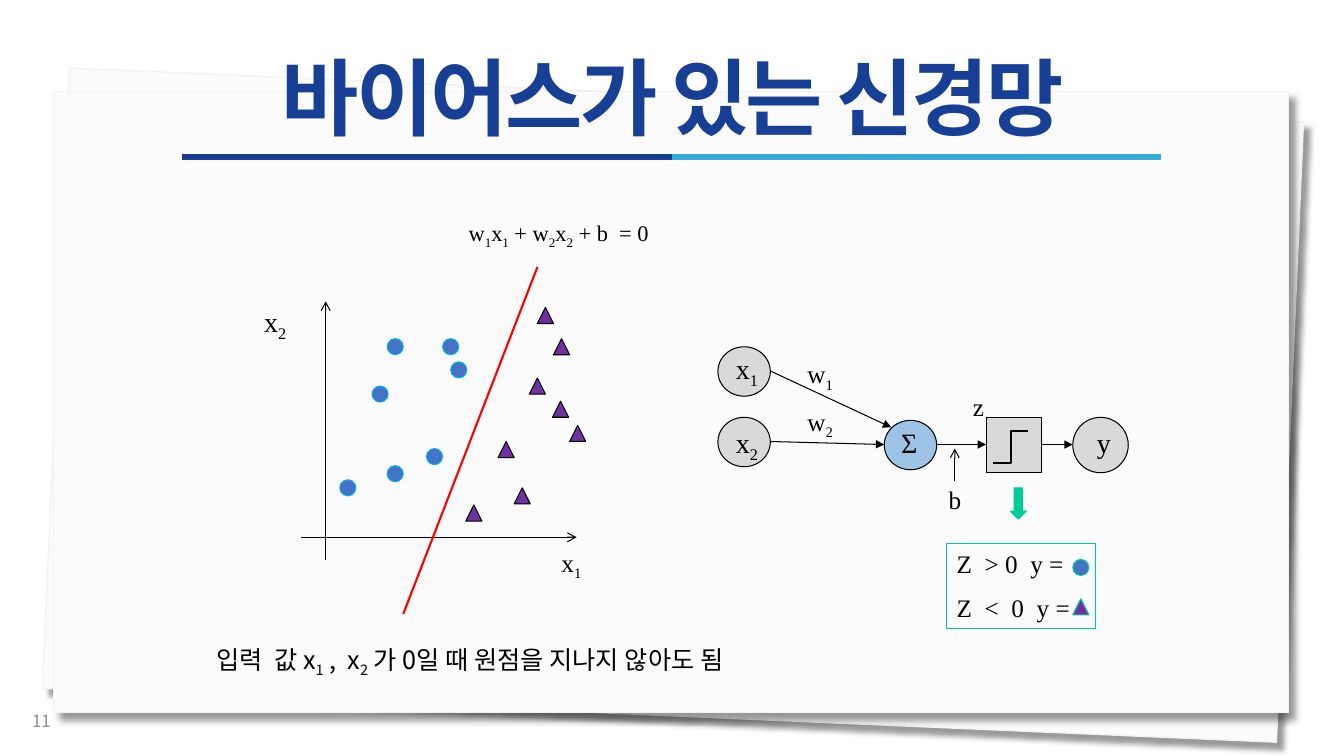
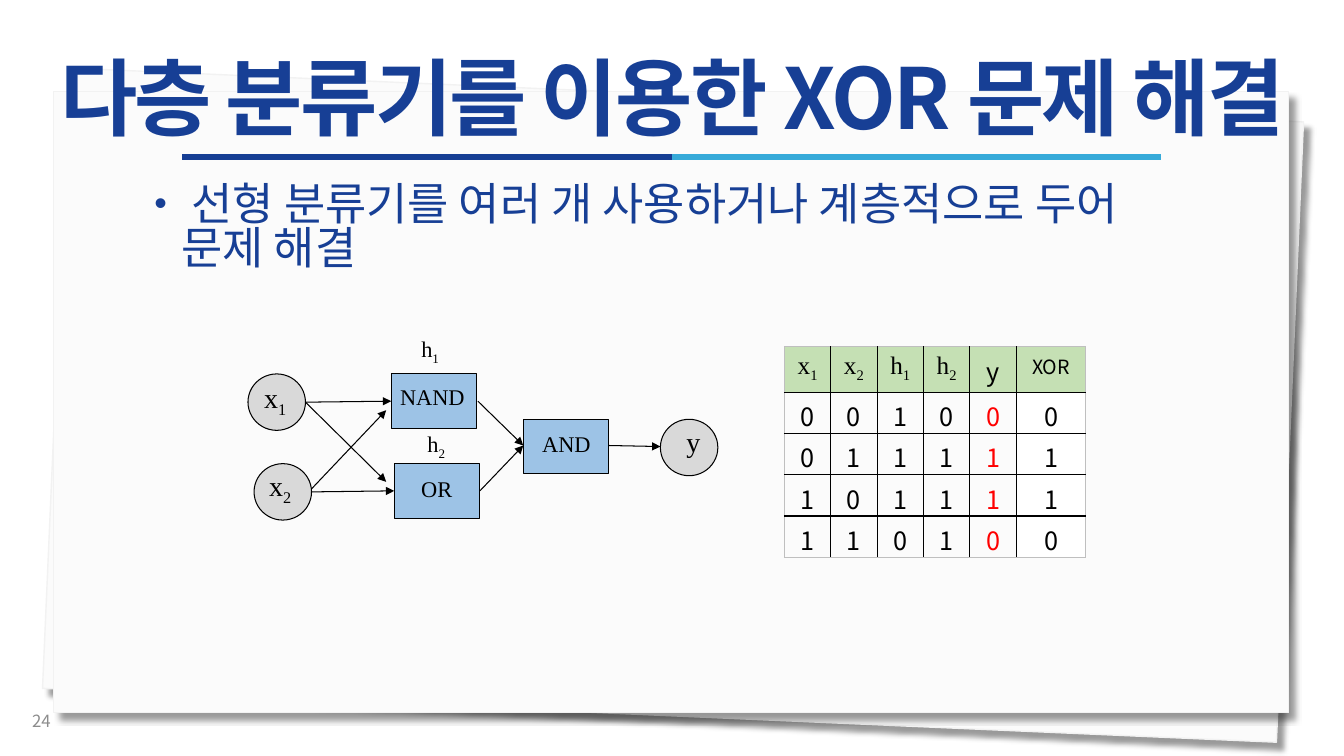
from lxml import etree
from pptx import Presentation
from pptx.dml.color import RGBColor
from pptx.enum.shapes import MSO_CONNECTOR, MSO_SHAPE
from pptx.enum.text import MSO_ANCHOR, MSO_AUTO_SIZE, PP_ALIGN
from pptx.oxml.ns import qn
from pptx.util import Inches, Pt

RECT, OVAL = MSO_SHAPE.RECTANGLE, MSO_SHAPE.OVAL
TRIANGLE, DOWN_ARROW = MSO_SHAPE.ISOSCELES_TRIANGLE, MSO_SHAPE.DOWN_ARROW
STRAIGHT, ELBOW = MSO_CONNECTOR.STRAIGHT, MSO_CONNECTOR.ELBOW
TOP, MIDDLE = MSO_ANCHOR.TOP, MSO_ANCHOR.MIDDLE
LEFT, CENTER = PP_ALIGN.LEFT, PP_ALIGN.CENTER
NO_FIT = MSO_AUTO_SIZE.NONE

BLACK = RGBColor(0x00, 0x00, 0x00)
WHITE = RGBColor(0xFF, 0xFF, 0xFF)
PAPER = RGBColor(0xFB, 0xFB, 0xFB)
PAPER_EDGE = RGBColor(0xF2, 0xF2, 0xF2)
NAVY = RGBColor(0x17, 0x3F, 0x95)
RULE_NAVY = RGBColor(0x16, 0x3E, 0x94)
RULE_SKY = RGBColor(0x36, 0xAA, 0xD9)
FOOTER_GRAY = RGBColor(0x8C, 0x8C, 0x8C)
NODE_GRAY = RGBColor(0xD9, 0xD9, 0xD9)
NODE_BLUE = RGBColor(0x9D, 0xC3, 0xE6)
DOT_BLUE = RGBColor(0x44, 0x72, 0xC4)
DOT_EDGE = RGBColor(0x00, 0xB0, 0xF0)
PURPLE = RGBColor(0x70, 0x30, 0xA0)
TEAL = RGBColor(0x00, 0xCC, 0x99)
RED = RGBColor(0xFF, 0x00, 0x00)
HEADER_GREEN = RGBColor(0xC5, 0xE0, 0xB4)
TABLE_EDGE = RGBColor(0xBF, 0xBF, 0xBF)

SANS, SERIF = "Noto Sans CJK KR", "Times New Roman"
TITLE_FORMAT = {"name": SANS, "size": Pt(60), "bold": True}
DOT = 0.16


def write(paragraph, text, color, formats):
    for index, piece in enumerate(text.split("_")):
        parts = [(piece[:1], True), (piece[1:], False)] if index else [(piece, False)]
        for part, lowered in parts:
            if not part:
                continue
            run = paragraph.add_run()
            run.text = part
            for attribute, value in formats.items():
                setattr(run.font, attribute, value)
            run.font.color.rgb = color
            properties = run._r.get_or_add_rPr()
            etree.SubElement(properties, qn("a:ea"), typeface=formats["name"])
            if lowered:
                properties.set("baseline", "-25000")


def connect(slide, start, end, color=BLACK, width=0.75, head=None, kind=STRAIGHT):
    link = slide.shapes.add_connector(kind, *[Inches(v) for v in (*start, *end)])
    link.line.color.rgb = color
    link.line.width = Pt(width)
    properties = link.element.spPr
    if head:
        etree.SubElement(properties.find(qn("a:ln")), qn("a:tailEnd"), type=head)
    etree.SubElement(properties, qn("a:effectLst"))
    return link


prs = Presentation()
prs.slide_width, prs.slide_height = Inches(13.33), Inches(7.5)
bias = prs.slides.add_slide(prs.slide_layouts[5])
xor = prs.slides.add_slide(prs.slide_layouts[1])

backdrop = []
for left, top, angle in [(0.55, 0.94, 2.5), (0.53, 0.91, 0)]:
    sheet = bias.shapes.add_shape(RECT, Inches(left), Inches(top), Inches(12.25), Inches(6.16))
    sheet.rotation = angle
    sheet.fill.solid()
    sheet.fill.fore_color.rgb = PAPER
    sheet.line.color.rgb = PAPER_EDGE
    sheet.line.width = Pt(1)
    effects = etree.SubElement(sheet.element.spPr, qn("a:effectLst"))
    shadow = etree.SubElement(effects, qn("a:outerShdw"), blurRad=str(Pt(4)), dist=str(Pt(7)),
                              dir="2700000", algn="tl", rotWithShape="0")
    tint = etree.SubElement(shadow, qn("a:srgbClr"), val="000000")
    etree.SubElement(tint, qn("a:alpha"), val="40000")
    backdrop.append(sheet)
for start, end, color in [(1.81, 6.67, RULE_NAVY), (6.67, 11.52, RULE_SKY)]:
    backdrop.append(connect(bias, (start, 1.56), (end, 1.56), color, 4.5))

first_on_master = prs.slide_master.placeholders[0].element
for number, part in enumerate(backdrop, 100):
    part.element.xpath(".//p:cNvPr")[0].set("id", str(number))
    first_on_master.addprevious(part.element)

for slide, heading in [(bias, "바이어스가 있는 신경망"), (xor, "다층 분류기를 이용한 XOR 문제 해결")]:
    title = slide.shapes.title
    title.left, title.top, title.width, title.height = [Inches(v) for v in (0, 0.56, 13.34, 0.9)]
    title.text_frame.auto_size = NO_FIT
    title.text_frame.word_wrap = True
    title.text_frame.vertical_anchor = MIDDLE
    line = title.text_frame.paragraphs[0]
    line.alignment = CENTER
    line.line_spacing = 0.9
    write(line, heading, NAVY, TITLE_FORMAT)
    for run in line.runs:
        run._r.get_or_add_rPr().set("spc", "-190")

dots = [(3.84, 3.36), (4.39, 3.36), (4.47, 3.59), (3.69, 3.83), (4.23, 4.45), (3.84, 4.62), (3.37, 4.76)]
triangles = [(5.25, 3.75), (5.48, 3.98), (5.65, 4.22), (4.94, 4.38), (5.1, 4.84), (4.62, 5.01),
             (5.33, 3.05), (5.49, 3.36)]

shape_sets = [
    (bias, OVAL, DOT_BLUE, DOT_EDGE, (DOT, DOT), dots),
    (bias, TRIANGLE, PURPLE, BLACK, (DOT, DOT), triangles),
    (bias, OVAL, NODE_GRAY, BLACK, (0.52, 0.49), [(7.12, 3.44), (7.12, 4.14)]),
    (bias, OVAL, NODE_BLUE, BLACK, (0.52, 0.49), [(8.77, 4.17)]),
    (bias, RECT, NODE_GRAY, BLACK, (0.55, 0.55), [(9.78, 4.14)]),
    (bias, OVAL, NODE_GRAY, BLACK, (0.55, 0.55), [(10.64, 4.14)]),
    (bias, RECT, None, TEAL, (1.48, 0.85), [(9.39, 5.39)]),
    (bias, OVAL, DOT_BLUE, TEAL, (DOT, DOT), [(10.64, 5.55)]),
    (bias, TRIANGLE, PURPLE, TEAL, (DOT, DOT), [(10.64, 5.94)]),
    (bias, DOWN_ARROW, TEAL, TEAL, (DOT, 0.31), [(10.02, 4.84)]),
    (xor, OVAL, NODE_GRAY, BLACK, (0.57, 0.56), [(2.46, 3.71), (2.52, 4.6), (6.55, 4.16)]),
    (xor, RECT, NODE_BLUE, BLACK, (0.85, 0.54), [(5.19, 4.16), (3.88, 3.71), (3.91, 4.6)]),
]
for slide, kind, fill, outline, size, spots in shape_sets:
    for spot in spots:
        mark = slide.shapes.add_shape(kind, *[Inches(v) for v in (*spot, *size)])
        mark.shadow.inherit = False
        mark.line.color.rgb = outline
        mark.line.width = Pt(0.75)
        if fill is not None:
            mark.fill.solid()
            mark.fill.fore_color.rgb = fill
            continue
        mark.fill.background()
        legend = mark.text_frame
        legend.vertical_anchor = TOP
        legend.word_wrap = True
        for row, rule in enumerate(["Z  > 0  y =", "Z  <  0  y ="]):
            line = legend.add_paragraph() if row else legend.paragraphs[0]
            line.alignment = LEFT
            line.space_before = Pt(10 * row)
            write(line, rule, BLACK, {"name": SERIF, "size": Pt(18)})

link_sets = [
    (bias, "arrow", [((2.99, 5.33), (5.72, 5.33)), ((3.23, 5.56), (3.23, 2.99)), ((9.47, 4.77), (9.47, 4.45))]),
    (bias, "triangle", [((7.64, 3.68), (8.84, 4.24)), ((7.64, 4.38), (8.77, 4.41)),
                        ((9.29, 4.41), (9.78, 4.41)), ((10.33, 4.41), (10.64, 4.41))]),
    (xor, "triangle", [((6.04, 4.42), (6.55, 4.43)), ((3.03, 3.99), (3.88, 3.98)), ((3.09, 4.88), (3.91, 4.87)),
                       ((3.09, 4.85), (3.83, 4.07)), ((3.03, 3.99), (3.83, 4.78)),
                       ((4.74, 3.98), (5.19, 4.42)), ((4.76, 4.87), (5.19, 4.42))]),
]
for slide, head, links in link_sets:
    for start, end in links:
        connect(slide, start, end, head=head)
connect(bias, (5.33, 2.65), (4, 6.09), RED, 1.5)
connect(bias, (10.2, 4.28), (9.85, 4.59), width=1.5, kind=ELBOW)

labels = [
    (bias, "x_2", 20, (2.52, 2.97, 0.71, 0.43)),
    (bias, "x_1", 18, (5.47, 5.38, 0.71, 0.4)),
    (bias, "x_1", 20, (7.2, 3.44, 0.47, 0.43)),
    (bias, "x_2", 20, (7.2, 4.17, 0.47, 0.43)),
    (bias, "Σ", 20, (8.84, 4.17, 0.47, 0.43)),
    (bias, "w_1", 18, (7.91, 3.51, 0.94, 0.4)),
    (bias, "w_2", 18, (7.91, 3.98, 0.94, 0.4)),
    (bias, "b", 18, (9.31, 4.76, 0.94, 0.4)),
    (bias, "y", 20, (10.78, 4.17, 0.41, 0.43)),
    (bias, "z", 18, (9.55, 3.83, 0.94, 0.4)),
    (bias, "w_1x_1 + w_2x_2 + b  = 0", 16, (4.55, 2.13, 2.27, 0.37)),
    (xor, "x_1", 20, (2.52, 3.73, 0.51, 0.45)),
    (xor, "x_2", 20, (2.57, 4.6, 0.51, 0.5)),
    (xor, "y", 20, (6.71, 4.16, 0.44, 0.44)),
    (xor, "NAND", 16, (3.87, 3.75, 0.94, 0.42)),
    (xor, "AND", 16, (5.28, 4.22, 0.94, 0.42)),
    (xor, "OR", 16, (4.08, 4.66, 0.94, 0.42)),
    (xor, "h_1", 16, (4.08, 3.28, 0.51, 0.37)),
    (xor, "h_2", 16, (4.14, 4.22, 0.51, 0.37)),
]
captions = [(slide, text, size, place, SERIF, BLACK, TOP) for slide, text, size, place in labels]
captions.append((bias, "입력  값 x_1 ,  x_2 가 0일 때 원점을 지나지 않아도 됨", 18,
                 (2.05, 6.34, 6.56, 0.4), SANS, BLACK, TOP))
for slide, page in [(bias, "11"), (xor, "24")]:
    captions.append((slide, page, 12, (0.22, 6.95, 3, 0.4), SANS, FOOTER_GRAY, MIDDLE))
for slide, text, size, place, font, color, anchor in captions:
    caption = slide.shapes.add_textbox(*[Inches(v) for v in place]).text_frame
    caption.word_wrap = True
    caption.vertical_anchor = anchor
    write(caption.paragraphs[0], text, color, {"name": font, "size": Pt(size)})

summary = xor.placeholders[1]
summary.left, summary.top, summary.width, summary.height = [Inches(v) for v in (1.41, 1.79, 10.59, 0.64)]
summary.text_frame.auto_size = NO_FIT
summary.text_frame.word_wrap = True
summary.text_frame.vertical_anchor = TOP
line = summary.text_frame.paragraphs[0]
line.line_spacing = 0.82
line.space_before = Pt(0)
line.space_after = Pt(18)
write(line, " 선형 분류기를 여러 개 사용하거나 계층적으로 두어 문제 해결", NAVY, {"name": SANS, "size": Pt(32)})
layout = line._p.get_or_add_pPr()
layout.set("marL", str(Inches(0.29)))
layout.set("indent", str(Inches(-0.27)))
etree.SubElement(layout, qn("a:buSzPct"), val="80000")
etree.SubElement(layout, qn("a:buChar"), char="•")

truth_rows = [["x_1", "x_2", "h_1", "h_2", "y", "XOR"]] + [list(bits) for bits in ("001000", "011111", "101111", "110100")]
truth = xor.shapes.add_table(5, 6, Inches(7.78), Inches(3.44), Inches(2.99), Inches(2.09)).table
truth.first_row = truth.horz_banding = False
for column, width in zip(truth.columns, [0.46] * 5 + [0.69]):
    column.width = Inches(width)
for r, values in enumerate(truth_rows):
    truth.rows[r].height = Inches(0.41 if r else 0.45)
    for c, value in enumerate(values):
        cell = truth.cell(r, c)
        cell.margin_top, cell.margin_bottom = Inches(0.05), Inches(0)
        if r and c < 5:
            cell.fill.background()
        else:
            cell.fill.solid()
            cell.fill.fore_color.rgb = WHITE if r else HEADER_GREEN
        line = cell.text_frame.paragraphs[0]
        line.alignment = CENTER
        write(line, value, RED if r and c == 4 else BLACK,
              {"name": SERIF if r == 0 and c < 4 else SANS, "size": Pt(14 if value == "XOR" else 18)})
        outer_sides = {"a:lnL": c == 0, "a:lnR": c == 5, "a:lnT": r == 0, "a:lnB": r == 4}
        properties = cell._tc.get_or_add_tcPr()
        for position, (side, outer) in enumerate(outer_sides.items()):
            border = etree.Element(qn(side), w=str(Pt(1)))
            ink = etree.SubElement(border, qn("a:solidFill"))
            etree.SubElement(ink, qn("a:srgbClr"), val=str(TABLE_EDGE if outer else BLACK))
            properties.insert(position, border)

prs.save("out.pptx")
